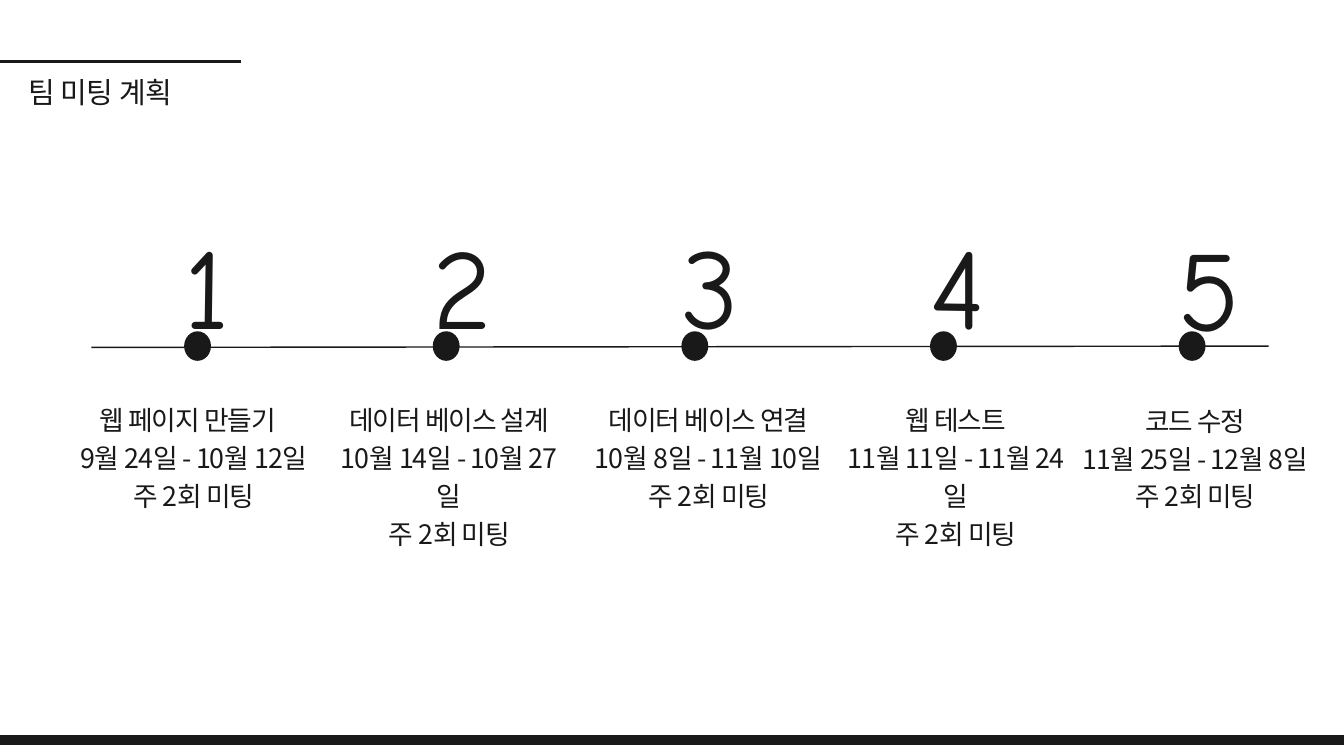
from lxml import etree
from pptx import Presentation
from pptx.dml.color import RGBColor
from pptx.enum.shapes import MSO_CONNECTOR as Connector, MSO_SHAPE as Shape
from pptx.enum.text import PP_ALIGN as Align
from pptx.oxml.ns import qn
from pptx.util import Inches, Pt

INK = "191919"
KOREAN = "Noto Sans CJK KR"
NUMERAL = "Comic Neue"
MEETING = "주 2회 미팅"
FIRST_DOT, DOT_STEP = 2.74, 3.7

STAGES = [
    ("웹 페이지 만들기", "9월 24일 - 10월 12일", 1.02, 1.11),
    ("데이터 베이스 설계", "10월 14일 - 10월 27일", 4.91, 4.91),
    ("데이터 베이스 연결", "10월 8일 - 11월 10일", 8.77, 8.77),
    ("웹 테스트", "11월 11일 - 11월 24일", 12.45, 12.45),
    ("코드 수정", "11월 25일 - 12월 8일", 16.01, 16.01),
]


def color(value):
    return RGBColor.from_string(value)


def add_text(slide, lines, left, top, width, height, size=28.7, font=KOREAN,
             spacing=40.2, align=Align.CENTER, tracking=-1.1):
    box = slide.shapes.add_textbox(Inches(left), Inches(top), Inches(width), Inches(height))
    frame = box.text_frame
    frame.word_wrap = True
    frame.margin_left = frame.margin_right = frame.margin_top = frame.margin_bottom = 0
    for index, line in enumerate(lines):
        paragraph = frame.paragraphs[0] if index == 0 else frame.add_paragraph()
        paragraph.alignment = align
        paragraph.line_spacing = Pt(spacing)
        run = paragraph.add_run()
        run.text = line
        run.font.size = Pt(size)
        run.font.name = font
        run.font.color.rgb = color(INK)
        properties = run.font._element
        properties.set("spc", str(round(tracking * 100)))
        etree.SubElement(properties, qn("a:ea"), typeface=font)


def add_solid(slide, kind, left, top, width, height, line_width=None):
    shape = slide.shapes.add_shape(kind, Inches(left), Inches(top), Inches(width), Inches(height))
    shape.shadow.inherit = False
    shape.fill.solid()
    shape.fill.fore_color.rgb = color(INK)
    if line_width:
        shape.line.color.rgb = color(INK)
        shape.line.width = Pt(line_width)
    else:
        shape.line.fill.background()


def add_line(slide, start, end, width):
    points = [Inches(value) for value in (*start, *end)]
    line = slide.shapes.add_connector(Connector.STRAIGHT, *points)
    line.line.color.rgb = color(INK)
    line.line.width = Pt(width)
    etree.SubElement(line._element.spPr, qn("a:effectLst"))


def add_stage(slide, index, stage):
    title, dates, title_left, dates_left = stage
    last = index == len(STAGES) - 1
    dot_left = FIRST_DOT + index * DOT_STEP
    top = 5.94 if last else 5.93
    label = {"size": 28.5, "spacing": 40} if last else {}
    add_solid(slide, Shape.OVAL, dot_left, 4.93, 0.4, 0.44)
    add_text(slide, [str(index + 1)], dot_left, 2.89 if last else 2.87, 1.11, 2.28,
             size=122.3, font=NUMERAL, spacing=171.3, align=Align.LEFT, tracking=0)
    add_text(slide, [title], title_left, top, 3.55, 0.54, **label)
    add_text(slide, [dates, MEETING], dates_left, top + 0.57, 3.55, 1.09, **label)


def main():
    presentation = Presentation()
    presentation.slide_width = Inches(20)
    presentation.slide_height = Inches(11.25)
    slide = presentation.slides.add_slide(presentation.slide_layouts[6])
    slide.background.fill.solid()
    slide.background.fill.fore_color.rgb = color("FFFFFF")

    add_solid(slide, Shape.RECTANGLE, -0.32, 10.95, 20.64, 0.13, line_width=1.5)
    add_line(slide, (0, 0.91), (3.58, 0.91), 3)
    add_text(slide, ["팀 미팅 계획"], 0.42, 1.02, 2.74, 0.58,
             size=31.1, spacing=43.5, align=Align.JUSTIFY, tracking=-0.4)
    add_line(slide, (1.36, 5.17), (18.88, 5.15), 1.5)
    for index, stage in enumerate(STAGES):
        add_stage(slide, index, stage)

    presentation.save("out.pptx")


if __name__ == "__main__":
    main()
